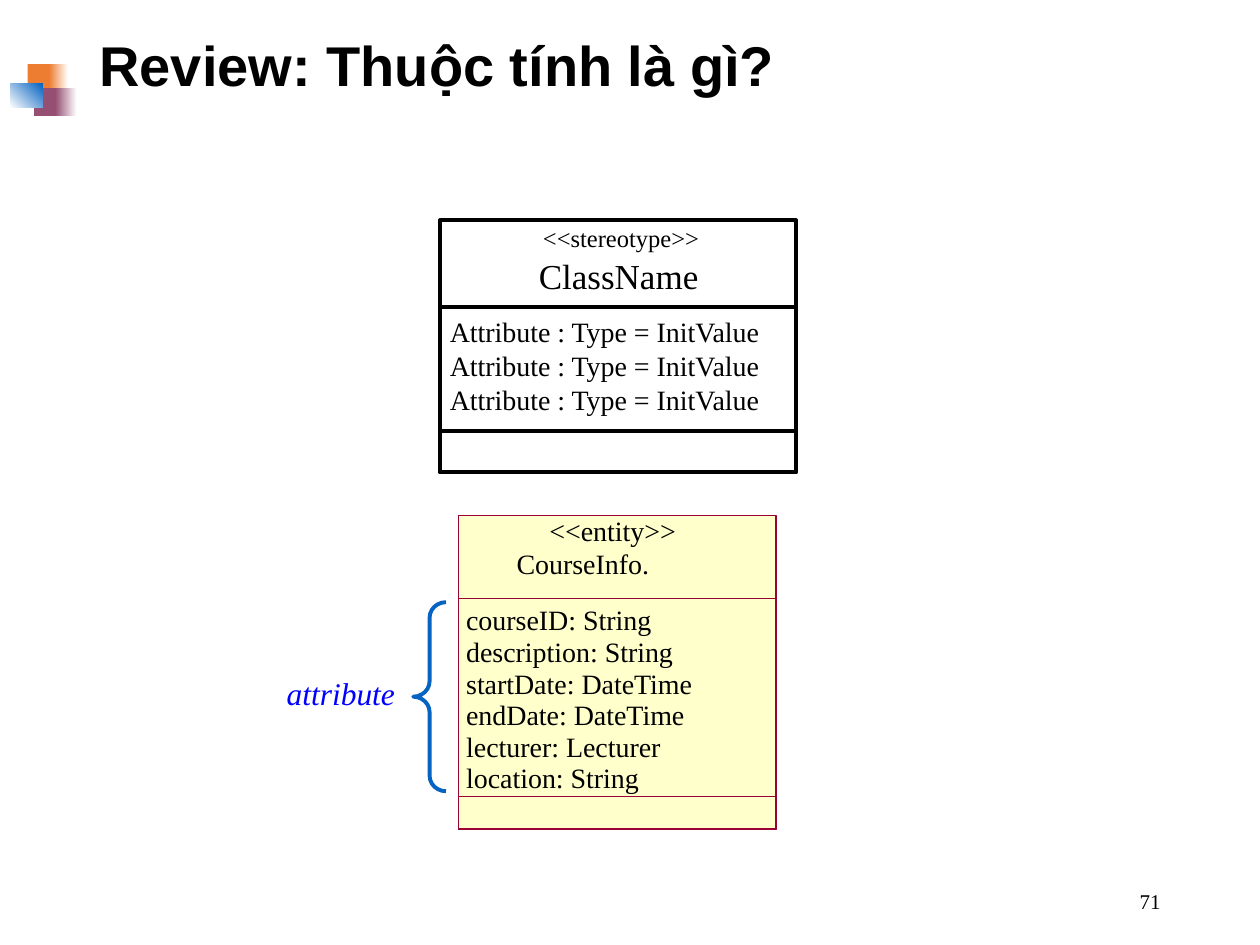
import pptx
import pptx.util
import pptx.dml.color
import pptx.enum.shapes
import pptx.enum.text
import pptx.oxml.ns
from lxml import etree

COLS, ROWS = 100, 75  # grid over the whole slide
SERIF = "Times New Roman"
LEFT, MID, RIGHT = (pptx.enum.text.PP_ALIGN.LEFT, pptx.enum.text.PP_ALIGN.CENTER,
                    pptx.enum.text.PP_ALIGN.RIGHT)
SHAPE = pptx.enum.shapes.MSO_SHAPE

deck = pptx.Presentation()
deck.slide_width = pptx.util.Inches(10)
deck.slide_height = pptx.util.Inches(7.5)
slide = deck.slides.add_slide(deck.slide_layouts[6])


def grid(x, y):
    return int(deck.slide_width * x / COLS), int(deck.slide_height * y / ROWS)


def color(code):
    return pptx.dml.color.RGBColor.from_string(code)


def shape(box, fill=None, fade=None, angle=0, line=None, width=0, kind=SHAPE.RECTANGLE):
    x, y, w, h = box
    item = slide.shapes.add_shape(kind, *grid(x, y), *grid(w, h))
    item.shadow.inherit = False
    if fade:
        item.fill.gradient()
        item.fill.gradient_angle = angle
        for stop, code in zip(item.fill.gradient_stops, fade):
            stop.color.rgb = color(code)
    elif fill:
        item.fill.solid()
        item.fill.fore_color.rgb = color(fill)
    else:
        item.fill.background()
    if line:
        item.line.color.rgb = color(line)
        item.line.width = pptx.util.Pt(width)
    else:
        item.line.fill.background()
    return item


def rule(x, y, w, code, width):
    item = slide.shapes.add_connector(
        pptx.enum.shapes.MSO_CONNECTOR.STRAIGHT, *grid(x, y), *grid(x + w, y))
    item.line.color.rgb = color(code)
    item.line.width = pptx.util.Pt(width)
    etree.SubElement(item._element.spPr, pptx.oxml.ns.qn("a:effectLst"))


def text(words, box, size=16, font=SERIF, code="000000", bold=False, slant=False,
         align=LEFT, pad=False, wrap=False, middle=False, lead=None):
    x, y, w, h = box
    frame = slide.shapes.add_textbox(*grid(x, y), *grid(w, h)).text_frame
    frame.word_wrap = wrap
    if not pad:
        frame.margin_left = frame.margin_right = 0
        frame.margin_top = frame.margin_bottom = 0
    if middle:
        frame.vertical_anchor = pptx.enum.text.MSO_ANCHOR.MIDDLE
    frame.text = words
    for para in frame.paragraphs:
        para.alignment = align
        if lead:
            para.line_spacing = lead
        for run in para.runs:
            run.font.name, run.font.size = font, pptx.util.Pt(size)
            run.font.bold, run.font.italic = bold, slant
            run.font.color.rgb = color(code)


# Corner ornament: two bars that fade out, and a tile over them
def badge(x, y):
    bars = [("ED7D31", 1.4, 0, 1.9, 1.5), ("954F72", 1.9, 1.9, 1.9, 1.7)]
    for code, dx, dy, w, tail in bars:
        shape((x + dx, y + dy, w, 2.2), fill=code)
        shape((x + dx + w - 0.2, y + dy, tail, 2.2), fade=(code, "FFFFFF"))
    shape((x, y + 1.5, 2.6, 1.9), fade=("FFFFFF", "0563C1"), angle=45)


# General form of a class
def model(x, y, w, h):
    shape((x, y, w, h), line="000000", width=2.25)
    for row in (6.9, 16.7):
        rule(x, y + row, w, "000000", 2.25)
    text("<<stereotype>>", (x + 7.6, y + 0.2, 13.6, 2.3), size=14, align=MID)
    text("ClassName", (x + 7, y + 2.7, 14.4, 3.3), size=20, align=MID)
    text("\n".join(["Attribute : Type = InitValue"] * 3), (x + 0.8, y + 7.5, 26.3, 10.7))


# Example class with its attributes
def entity(x, y, w, h):
    shape((x, y, w, h), fill="FFFFCC", line="990033")
    for top in (6.6, 22.3):
        shape((x, y + top, w, h - top), line="990033")
    text("<<entity>>", (x + 7.2, y - 0.1, 10.5, 2.7))
    text("CourseInfo.", (x + 4.6, y + 2.5, 10.7, 2.7))
    fields = ["courseID: String", "description: String", "startDate: DateTime",
              "endDate: DateTime", "lecturer: Lecturer", "location: String"]
    for i, words in enumerate(fields):
        text(words, (x + 0.6, y + 6.95 + 2.51 * i, 18, 2.7))


# Brace and label for the attribute rows
def mark(x, y, w, h):
    brace = shape((x + w - 2.6, y, 2.6, h), line="0563C1", width=2.25, kind=SHAPE.LEFT_BRACE)
    brace.adjustments[0], brace.adjustments[1] = 0.474, 0.5
    text("attribute", (x, y + 5.2, 13.5, 4), size=18, code="0000FF", slant=True,
         align=MID, pad=True, wrap=True)


badge(0.8, 5.1)
text("Review: Thuộc tính là gì?", (6.9, 1.5, 86.2, 7.8), size=32, font="Arial",
     bold=True, pad=True, wrap=True, middle=True, lead=0.9)
model(34.9, 17.5, 28.3, 20)
entity(36.4, 40.9, 25.2, 24.9)
mark(20.3, 47.8, 15.1, 15)
text("71", (70.6, 69.5, 22.5, 4), size=12, align=RIGHT, pad=True, wrap=True, middle=True)

deck.save("out.pptx")
